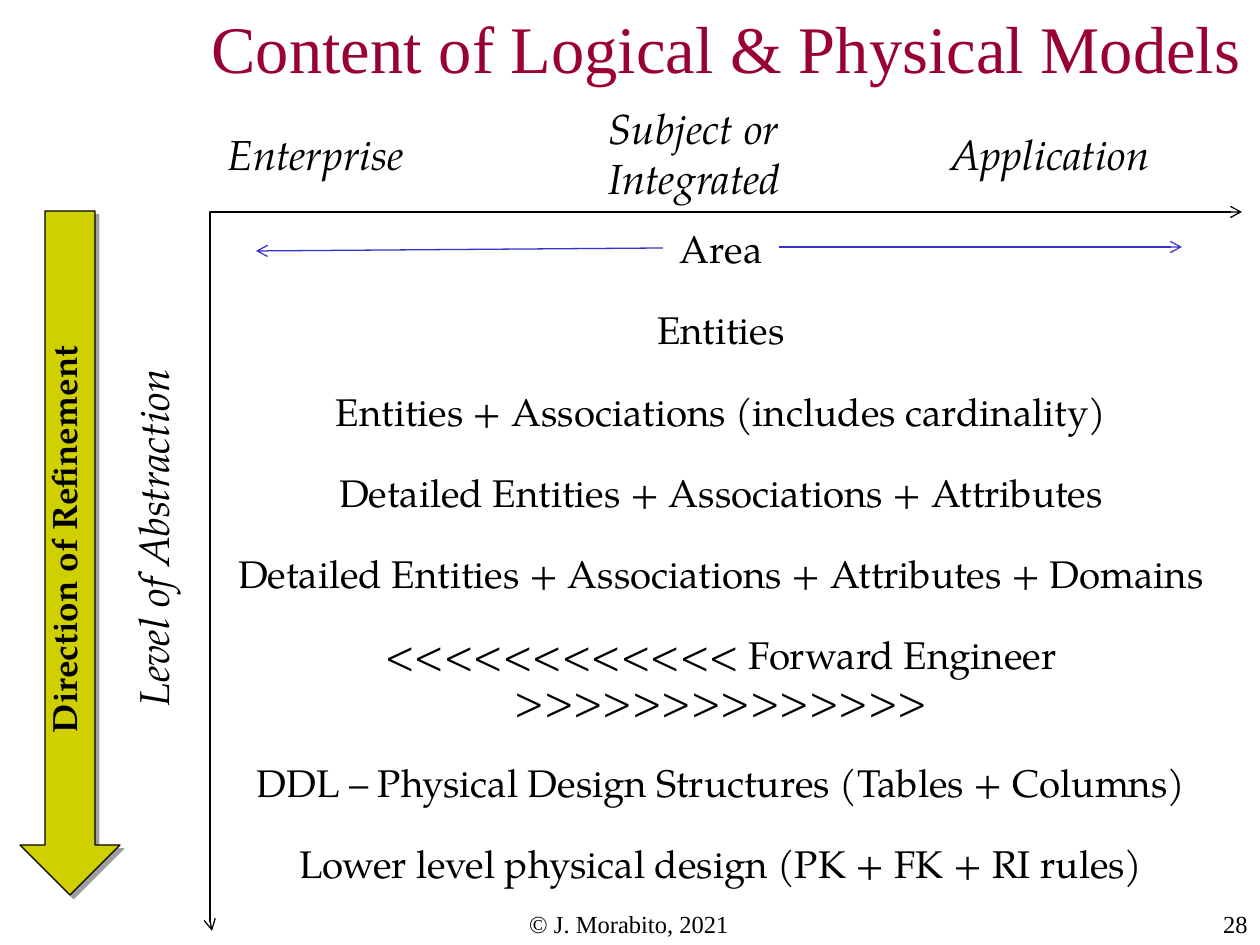
from lxml.etree import SubElement
from pptx import Presentation
from pptx.dml.color import RGBColor
from pptx.enum.shapes import MSO_CONNECTOR as Connector, MSO_SHAPE as Shape
from pptx.enum.text import MSO_ANCHOR as Anchor, MSO_AUTO_SIZE as AutoSize, PP_ALIGN as Align
from pptx.oxml.ns import qn
from pptx.util import Inches, Pt

PX = Inches(1) / 126
SERIF = "Times New Roman"
PAGELLA = "TeX Gyre Pagella"
BLACK = RGBColor(0x00, 0x00, 0x00)
CRIMSON = RGBColor(0x99, 0x00, 0x33)
BLUE = RGBColor(0x33, 0x33, 0xCC)
OLIVE = RGBColor(0xD0, 0xD0, 0x00)

LEVELS = [
    "Area",
    "Entities",
    "Entities + Associations (includes cardinality)",
    "Detailed Entities + Associations + Attributes",
    "Detailed Entities + Associations + Attributes + Domains",
    "<<<<<<<<<<<< Forward Engineer >>>>>>>>>>>>>>",
    "DDL – Physical Design Structures (Tables + Columns)",
    "Lower level physical design (PK + FK + RI rules)",
]


def px(*lengths):
    """Turn pixel lengths into EMU."""
    return [round(length * PX) for length in lengths]


def style(paragraph, size, face=PAGELLA, color=BLACK, align=Align.LEFT, bold=False, italic=False):
    """Format a whole paragraph."""
    paragraph.alignment = align
    font = paragraph.font
    font.size, font.name = Pt(size), face
    font.bold, font.italic = bold, italic
    font.color.rgb = color


def add_text(slide, box, lines, size, wrap=False, gap=0, rotation=0, **look):
    """Add a text box with one paragraph per line."""
    text_box = slide.shapes.add_textbox(*px(*box))
    text_box.rotation = rotation
    frame = text_box.text_frame
    frame.word_wrap = wrap
    frame.text = "\n".join(lines)
    for index, paragraph in enumerate(frame.paragraphs):
        paragraph.space_before = Pt(gap if index else 0)
        style(paragraph, size, **look)


def add_arrow(slide, start, end, color, kind=Connector.STRAIGHT, ends=("tailEnd",)):
    """Add a thin connector with open arrowheads."""
    arrow = slide.shapes.add_connector(kind, *px(*start, *end))
    arrow.line.color.rgb = color
    arrow.line.width = Pt(0.75)
    outline = arrow.line._get_or_add_ln()
    for head in ends:
        SubElement(outline, qn(f"a:{head}"), type="arrow")
    SubElement(arrow._element.spPr, qn("a:effectLst"))
    return arrow


def add_title(slide, box):
    """Fill and place the title placeholder."""
    title = slide.shapes.title
    title.left, title.top, title.width, title.height = px(*box)
    frame = title.text_frame
    frame.text = "Content of Logical & Physical Models"
    frame.auto_size = AutoSize.NONE
    frame.vertical_anchor = Anchor.MIDDLE
    style(frame.paragraphs[0], 38, SERIF, CRIMSON)


def add_axes(slide, box):
    """Draw the two-headed axis with its scope and abstraction labels."""
    left, top, width, height = box
    axes = add_arrow(slide, (left, top + height), (left + width, top), BLACK,
                     Connector.ELBOW, ("headEnd", "tailEnd"))
    guides = axes._element.spPr.find(qn("a:prstGeom")).get_or_add_avLst()
    SubElement(guides, qn("a:gd"), name="adj1", fmla="val -200")
    scopes = [
        (3, -90, 213, 63, ["Enterprise"]),
        (384, -116, 222, 113, ["Subject or", "Integrated"]),
        (726, -90, 234, 63, ["Application"]),
    ]
    for x, y, label_width, label_height, lines in scopes:
        add_text(slide, (left + x, top + y, label_width, label_height), lines, 24, italic=True)
    add_text(slide, (left - 253, top + 281, 388, 63), ["Level of Abstraction"], 24,
             rotation=270, italic=True)


def add_levels(slide, box):
    """List the model contents and the arrows on both sides of the first one."""
    left, top, width, height = box
    add_text(slide, box, LEVELS, 22, wrap=True, gap=20, align=Align.CENTER)
    add_arrow(slide, (left + 562, top + 28), (left + 965, top + 28), BLUE)
    add_arrow(slide, (left + 446, top + 29), (left + 39, top + 32), BLUE)


def add_refinement(slide, box):
    """Draw the downward block arrow and its vertical label."""
    left, top, width, height = box
    center_x, center_y = left + width / 2, top + height / 2
    block = slide.shapes.add_shape(
        Shape.RIGHT_ARROW,
        *px(center_x - height / 2, center_y - width / 2, height, width))
    block.rotation = 90
    block.fill.solid()
    block.fill.fore_color.rgb = OLIVE
    block.line.color.rgb = BLACK
    block.line.width = Pt(0.75)
    block.shadow.inherit = False
    effects = block._element.spPr.find(qn("a:effectLst"))
    shadow = SubElement(effects, qn("a:outerShdw"), dist=str(Pt(3)), dir="2700000",
                        algn="ctr", rotWithShape="0")
    tint = SubElement(shadow, qn("a:srgbClr"), val="808080")
    SubElement(tint, qn("a:alpha"), val="75000")
    add_text(slide, (center_x - 229, center_y - 58, 446, 55), ["Direction of Refinement"], 20,
             rotation=270, bold=True)


def add_footer(slide, box):
    """Add the copyright line and the page number."""
    left, top, width, height = box
    add_text(slide, (left, top, 400, height), ["© J. Morabito, 2021"], 14, wrap=True,
             face=SERIF, align=Align.CENTER)
    add_text(slide, (left + width - 179, top, 179, height), ["28"], 14, wrap=True,
             face=SERIF, align=Align.RIGHT)


def main():
    """Build and save the slide."""
    deck = Presentation()
    deck.slide_width, deck.slide_height = Inches(10), Inches(7.5)
    slide = deck.slides.add_slide(deck.slide_layouts.get_by_name("Title Only"))
    add_title(slide, (199, 10, 1061, 73))
    add_footer(slide, (429, 903, 831, 42))
    add_axes(slide, (212, 212, 1030, 719))
    add_levels(slide, (217, 219, 1008, 648))
    add_refinement(slide, (20, 211, 100, 684))
    deck.save("out.pptx")


if __name__ == "__main__":
    main()
